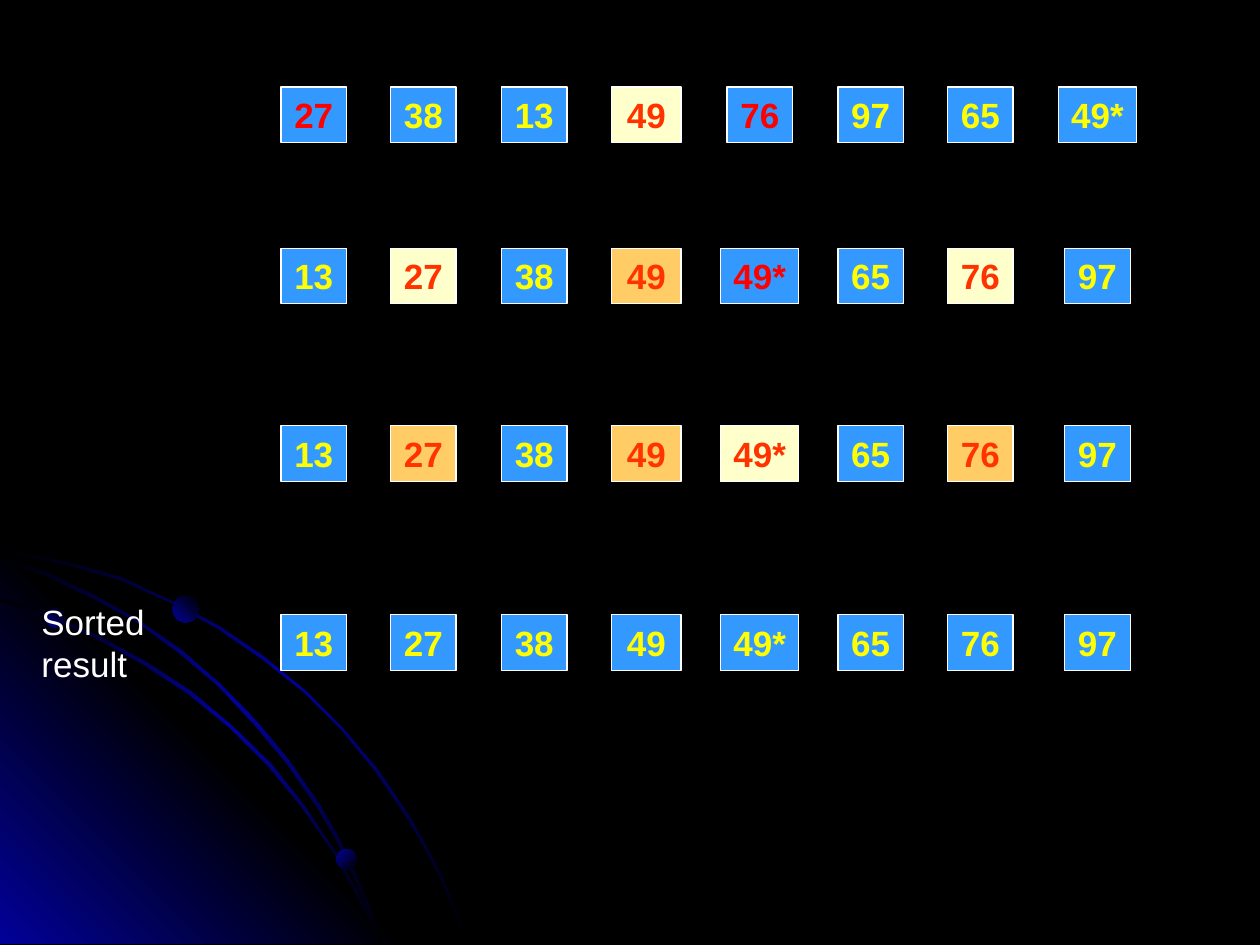
from lxml import etree
from pptx import Presentation
from pptx import util as u
from pptx.dml.color import RGBColor
from pptx.enum import shapes, text
from pptx.oxml.ns import qn

BLACK, NAVY, WHITE = "000000", "010199", "FFFFFF"
BLUE, CREAM, AMBER = "3399FF", "FFFFCC", "FFCC66"
RED, ORANGE, YELLOW = "FF0000", "FF3300", "FFFF00"


def color(code):
    return RGBColor.from_string(code)


class Board:
    font, size = "Arial", 20

    def __init__(self, slide):
        self.slide = slide
        self.pen = slide.shapes

    def group(self):
        """Put the shapes that follow into a new group."""
        self.pen = self.slide.shapes.add_group_shape().shapes

    def blend(self, shape, stops, angle):
        """Fill with evenly spaced stops; angle is counter-clockwise."""
        shape.shadow.inherit = False
        shape.line.fill.background()
        shape.fill.gradient()
        shape.fill.gradient_angle = angle
        items = shape.element.spPr.find(".//" + qn("a:gsLst"))
        items.clear()
        for i, code in enumerate(stops):
            place = 100000 * i // (len(stops) - 1)
            stop = etree.SubElement(items, qn("a:gs"), pos=str(place))
            etree.SubElement(stop, qn("a:srgbClr"), val=code)

    def outline(self, points, stops, angle):
        dots = [(u.Inches(x), u.Inches(y)) for x, y in points]
        pen = self.pen.build_freeform(*dots[0], scale=1.0)
        pen.add_line_segments(dots[1:], close=True)
        self.blend(pen.convert_to_shape(), stops, angle)

    def ball(self, x, y, size, angle):
        shape = self.pen.add_shape(
            shapes.MSO_SHAPE.OVAL, *map(u.Inches, (x, y, size, size)))
        self.blend(shape, (NAVY, BLACK), angle)

    def letter(self, shape, words, ink, bold, align):
        frame = shape.text_frame
        frame.text = words
        frame.word_wrap = False
        frame.auto_size = text.MSO_AUTO_SIZE.SHAPE_TO_FIT_TEXT
        for para in frame.paragraphs:
            para.alignment = align
            para.font.name = self.font
            para.font.size = u.Pt(self.size)
            para.font.bold = bold
            para.font.color.rgb = color(ink)

    def cell(self, mid, top, width, words, fill, ink):
        shape = self.pen.add_shape(
            shapes.MSO_SHAPE.RECTANGLE,
            *map(u.Inches, (mid - width / 2, top, width, 0.44)))
        shape.shadow.inherit = False
        shape.fill.solid()
        shape.fill.fore_color.rgb = color(fill)
        shape.line.color.rgb = color(WHITE)
        shape.line.width = u.Pt(0.75)
        shape.text_frame.vertical_anchor = text.MSO_ANCHOR.MIDDLE
        self.letter(shape, words, ink, True, text.PP_ALIGN.CENTER)

    def label(self, x, y, width, height, words):
        box = self.slide.shapes.add_textbox(
            *map(u.Inches, (x, y, width, height)))
        self.letter(box, words, WHITE, False, text.PP_ALIGN.LEFT)


# Backdrop: three arcs and a corner wedge
OUTER = [
    (0.57, 4.47), (0.28, 4.41), (0, 4.35), (0, 4.38), (0.28, 4.43),
    (0.56, 4.49), (0.97, 4.61), (1.35, 4.78), (1.73, 4.99), (2.08, 5.23),
    (2.41, 5.49), (2.71, 5.79), (2.98, 6.12), (3.23, 6.49), (3.37, 6.73),
    (3.5, 6.98), (3.6, 7.23), (3.7, 7.49), (3.72, 7.49), (3.62, 7.23),
    (3.52, 6.98), (3.39, 6.73), (3.25, 6.48), (3, 6.11), (2.72, 5.78),
    (2.42, 5.48), (2.09, 5.21), (1.74, 4.97), (1.36, 4.77), (0.98, 4.59)]
WEDGE = [(3.22, 7.49), (0, 7.49), (0, 4.27)]
INNER = [
    (2.85, 7.14), (2.94, 7.32), (3.01, 7.49), (3.03, 7.49), (2.96, 7.3),
    (2.86, 7.12), (2.66, 6.76), (2.42, 6.4), (2.15, 6.06), (1.84, 5.76),
    (1.52, 5.49), (1.17, 5.26), (0.79, 5.05), (0.41, 4.88), (0, 4.75),
    (0, 4.77), (0.39, 4.9), (0.77, 5.07), (1.15, 5.28), (1.5, 5.51),
    (1.83, 5.78), (2.13, 6.08), (2.4, 6.41), (2.65, 6.77)]
MIDDLE = [
    (0, 4.42), (0, 4.44), (0.36, 4.57), (0.74, 4.75), (1.09, 4.94),
    (1.42, 5.18), (1.73, 5.44), (2.02, 5.75), (2.27, 6.05), (2.52, 6.41),
    (2.67, 6.67), (2.8, 6.94), (2.92, 7.22), (3.01, 7.49), (3.03, 7.49),
    (2.94, 7.2), (2.82, 6.93), (2.69, 6.65), (2.54, 6.39), (2.29, 6.03),
    (2.04, 5.73), (1.75, 5.43), (1.44, 5.16), (1.11, 4.93), (0.76, 4.73),
    (0.39, 4.55)]
GLOW = (BLACK, NAVY, BLACK)

# Sorting passes: top, numbers, marks (one letter for each cell)
MARKS = {".": (BLUE, YELLOW), "r": (BLUE, RED),
         "c": (CREAM, ORANGE), "a": (AMBER, ORANGE)}
SORTED = "13 27 38 49 49* 65 76 97"
PASSES = [(0.69, "27 38 13 49 76 97 65 49*", "r..cr..."),
          (1.97, SORTED, ".c.ar.c."),
          (3.38, SORTED, ".a.ac.a."),
          (4.88, SORTED, "........")]
MIDS = [2.49, 3.36, 4.24, 5.13, 6.03, 6.91, 7.78, 8.71]
WIDTHS = {"49": 0.55, "49*": 0.62}


def main():
    deck = Presentation()
    deck.slide_width, deck.slide_height = u.Inches(10), u.Inches(7.5)
    slide = deck.slides.add_slide(deck.slide_layouts[6])
    slide.background.fill.solid()
    slide.background.fill.fore_color.rgb = color(BLACK)
    board = Board(slide)

    # Backdrop
    board.group()
    board.outline(OUTER, GLOW, 315)
    board.outline(WEDGE, (NAVY, BLACK, NAVY), 45)
    board.outline(INNER, GLOW, 315)
    board.outline(MIDDLE, GLOW, 315)
    board.ball(0.36, 4.83, 0.15, 45)
    board.ball(2.67, 6.74, 0.16, 315)
    board.ball(1.37, 4.73, 0.21, 45)

    # Rows of numbers
    for top, row, marks in PASSES:
        board.group()
        for mid, num, mark in zip(MIDS, row.split(), marks):
            board.cell(mid, top, WIDTHS.get(num, 0.52), num, *MARKS[mark])

    # Caption of the last row
    board.label(0.23, 4.72, 1.09, 0.77, "Sorted\nresult")
    deck.save("out.pptx")


if __name__ == "__main__":
    main()
